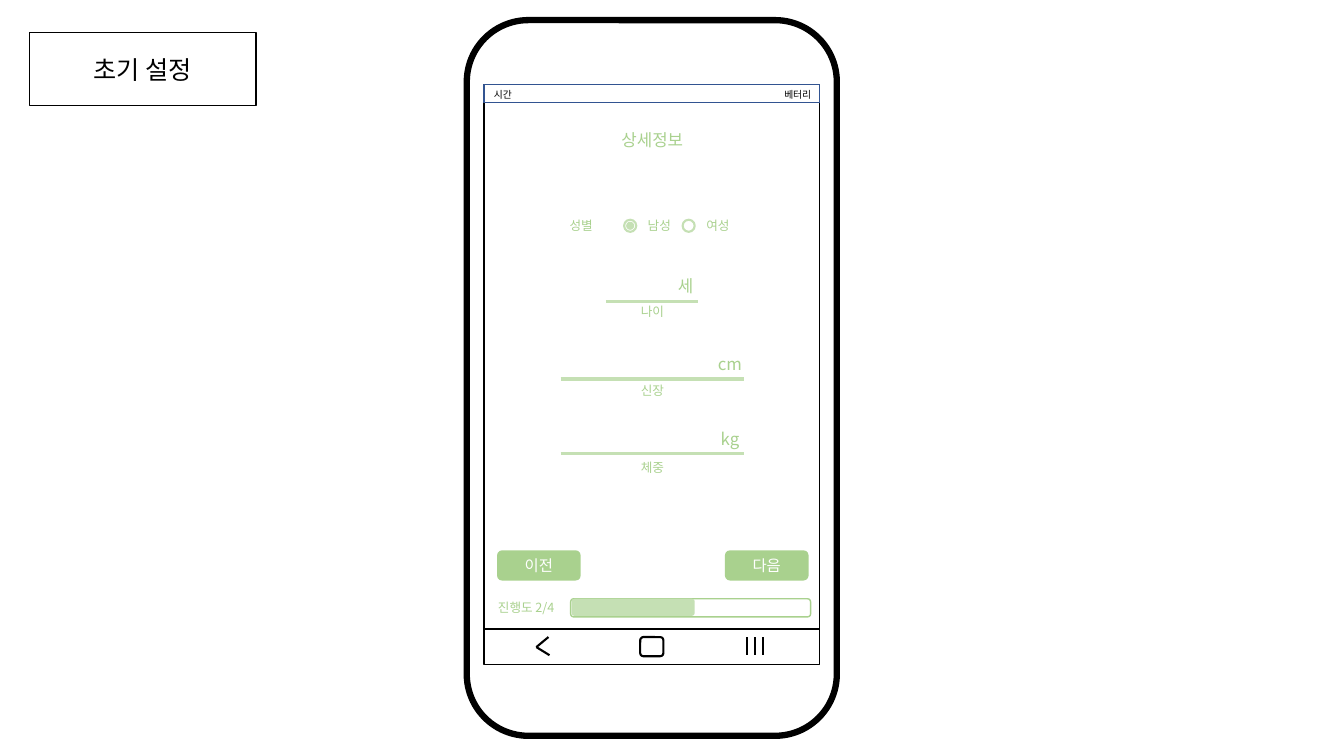
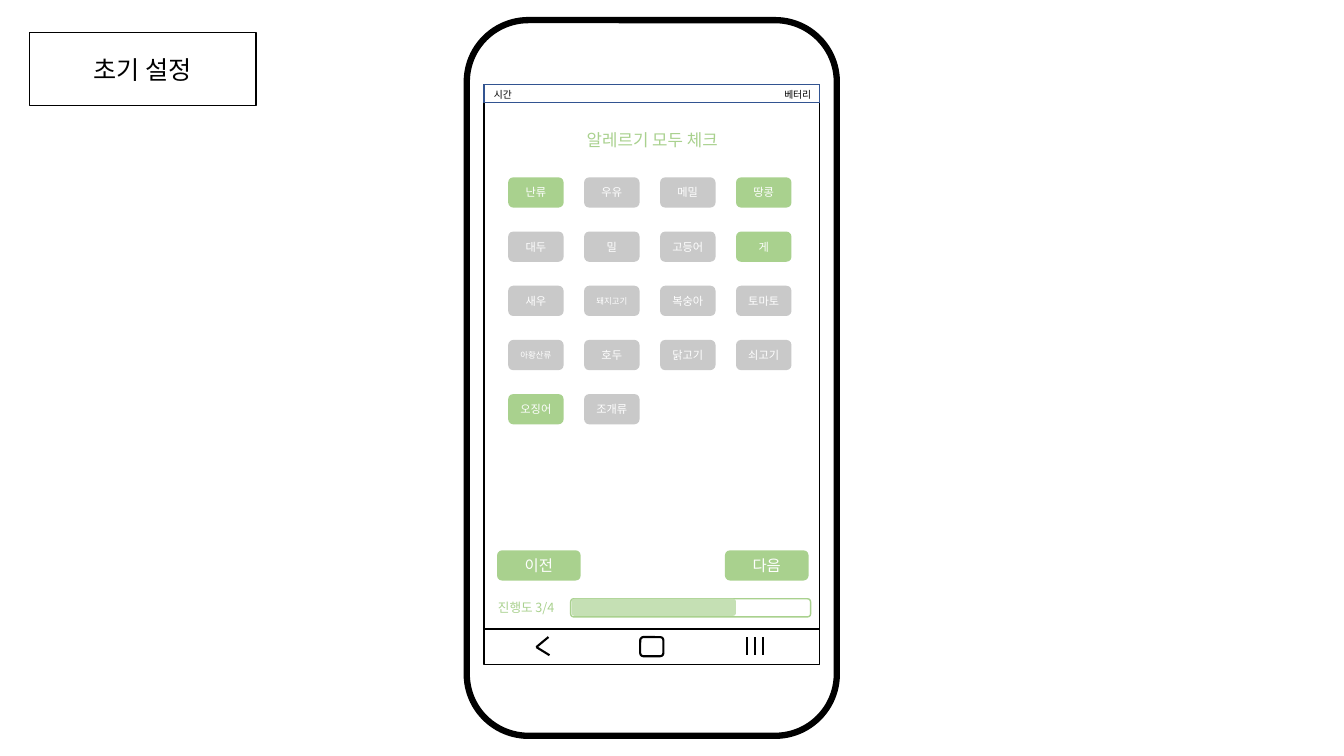
from lxml import etree
from pptx import Presentation
from pptx.dml.color import RGBColor
from pptx.enum import shapes, text
from pptx.oxml.ns import qn
from pptx.util import Inches, Pt

FONT = "Noto Sans CJK KR"
COLORS = {
    "black": "000000", "white": "FFFFFF", "green": "A9D18E",
    "pale": "C5E0B4", "gray": "C9C9C9", "blue": "325491",
}
HEADING = "초기 설정"
STATUS = [("시간", 4.8), ("베터리", 7.68)]
BUTTONS = [("이전", 4.93), ("다음", 7.19)]

# Title, progress label, width of the filled part of the bar
DETAILS = ("상세정보", "진행도 2/4", 1.22)
ALLERGY = ("알레르기 모두 체크", "진행도 3/4", 1.63)

# Option, circle left, label left, chosen
GENDERS = [("남성", 6.19, 6.26, True), ("여성", 6.77, 6.84, False)]
# Label, unit, unit left, line start, line end, line height, label top
FIELDS = [
    ("나이", "세", 5.69, 6.01, 6.92, 2.99, 2.97),
    ("신장", "cm", 6.13, 5.56, 7.38, 3.76, 3.75),
    ("체중", "kg", 6.13, 5.56, 7.38, 4.5, 4.51),
]
ALLERGENS = [
    ["난류", "우유", "메밀", "땅콩"],
    ["대두", "밀", "고등어", "게"],
    ["새우", "돼지고기", "복숭아", "토마토"],
    ["아황산류", "호두", "닭고기", "쇠고기"],
    ["오징어", "조개류"],
]
CHECKED = {"난류", "땅콩", "게", "오징어"}

SCREEN_LEFT, SCREEN_TOP, SCREEN_WIDTH = 4.8, 0.84, 3.33
CENTER_LEFT, CENTER_WIDTH = 5.36, 2.22
GRID_LEFT, GRID_TOP = 5.04, 1.76
COLUMN_STEP, ROW_STEP = (7.3 - GRID_LEFT) / 3, (3.91 - GRID_TOP) / 4
RECT = shapes.MSO_SHAPE.RECTANGLE
ROUND = shapes.MSO_SHAPE.ROUNDED_RECTANGLE
OVAL = shapes.MSO_SHAPE.OVAL


def rgb(name):
    """Return the named colour."""
    return RGBColor.from_string(COLORS[name])


def write(sp, words, size=9, color="green", center=True):
    """Put one formatted line of text in a shape."""
    tf = sp.text_frame
    tf.word_wrap = True
    p = tf.paragraphs[0]
    p.alignment = text.PP_ALIGN.CENTER if center else text.PP_ALIGN.LEFT
    r = p.add_run()
    r.text = words
    r.font.size, r.font.name = Pt(size), FONT
    r.font.color.rgb = rgb(color)
    etree.SubElement(r.font._element, qn("a:ea"), typeface=FONT)


def label(s, words, left, top, width, height=0.25, **style):
    """Add a text box that grows with its text."""
    sp = s.shapes.add_textbox(*map(Inches, (left, top, width, height)))
    write(sp, words, **style)
    sp.text_frame.auto_size = text.MSO_AUTO_SIZE.SHAPE_TO_FIT_TEXT


def box(s, kind, left, top, width, height, fill="white", line=None, weight=1,
        words=None, **style):
    """Add a filled shape, with an outline and centred text if given."""
    sp = s.shapes.add_shape(kind, *map(Inches, (left, top, width, height)))
    sp.shadow.inherit = False
    sp.fill.solid()
    sp.fill.fore_color.rgb = rgb(fill)
    if line:
        sp.line.color.rgb = rgb(line)
        sp.line.width = Pt(weight)
    else:
        sp.line.fill.background()
    if words:
        sp.text_frame.vertical_anchor = text.MSO_ANCHOR.MIDDLE
        write(sp, words, **style)


def rule(s, x1, y1, x2, y2, color="black", weight=1.5):
    """Add a straight line without a shadow."""
    c = s.shapes.add_connector(shapes.MSO_CONNECTOR.STRAIGHT,
                               *map(Inches, (x1, y1, x2, y2)))
    c.line.color.rgb = rgb(color)
    c.line.width = Pt(weight)
    etree.SubElement(c._element.spPr, qn("a:effectLst"))


def navigation(s):
    """Draw the bar with the back, home and recent signs."""
    box(s, RECT, SCREEN_LEFT, 6.24, SCREEN_WIDTH, 0.35, line="black")
    rule(s, 5.44, 6.32, 5.32, 6.42)
    rule(s, 5.45, 6.5, 5.32, 6.42)
    box(s, ROUND, 6.35, 6.32, 0.23, 0.19, line="black", weight=1.5)
    for i in range(3):
        x = 7.41 + 0.08 * i
        rule(s, x, 6.32, x, 6.5)


def phone_slide(prs, title, progress, done):
    """Add a slide with the heading and the phone frame."""
    s = prs.slides.add_slide(prs.slide_layouts[6])
    box(s, RECT, 0.29, 0.32, 2.25, 0.73, line="black",
        words=HEADING, size=18, color="black")
    box(s, ROUND, 4.63, 0.2, 3.67, 7.1, line="black", weight=4.5)
    box(s, RECT, SCREEN_LEFT, SCREEN_TOP, SCREEN_WIDTH, 5.74, line="black")
    box(s, RECT, SCREEN_LEFT, SCREEN_TOP, SCREEN_WIDTH, 0.18, line="blue")
    for words, left in STATUS:
        label(s, words, left, 0.83, 0.52, 0.22, size=7, color="black",
              center=False)
    label(s, title, CENTER_LEFT, 1.24, CENTER_WIDTH, 0.3, size=12)
    label(s, progress, 4.84, 5.9, 1.63, center=False)
    box(s, ROUND, 5.66, 5.94, 2.38, 0.18, line="green")
    box(s, ROUND, 5.67, 5.94, done, 0.17, fill="pale")
    for words, left in BUTTONS:
        box(s, ROUND, left, 5.46, 0.83, 0.3, fill="green",
            words=words, size=11, color="white")
    navigation(s)
    return s


def details_form(s):
    """Draw the gender choice and the lines to fill in."""
    label(s, "성별", 5.33, 2.11, 0.87)
    for words, circle_left, label_left, chosen in GENDERS:
        label(s, words, label_left, 2.11, 0.56)
        box(s, OVAL, circle_left, 2.18, 0.12, 0.12, line="pale", weight=1.5)
        if chosen:
            box(s, OVAL, circle_left + 0.02, 2.2, 0.08, 0.08, fill="pale")
    for words, unit, unit_left, start, end, y, label_top in FIELDS:
        rule(s, start, y, end, y, color="pale", weight=2.25)
        label(s, unit, unit_left, y - 0.3, CENTER_WIDTH, 0.3, size=12)
        label(s, words, CENTER_LEFT, label_top, CENTER_WIDTH)


def allergen_grid(s):
    """Draw the allergen buttons, green where checked."""
    for i, row in enumerate(ALLERGENS):
        for j, words in enumerate(row):
            box(s, ROUND, GRID_LEFT + j * COLUMN_STEP, GRID_TOP + i * ROW_STEP,
                0.55, 0.3, fill="green" if words in CHECKED else "gray",
                words=words, size=6 if len(words) > 3 else 8, color="white")


prs = Presentation()
prs.slide_width, prs.slide_height = Inches(13.33), Inches(7.5)
details_form(phone_slide(prs, *DETAILS))
allergen_grid(phone_slide(prs, *ALLERGY))
prs.save("out.pptx")
